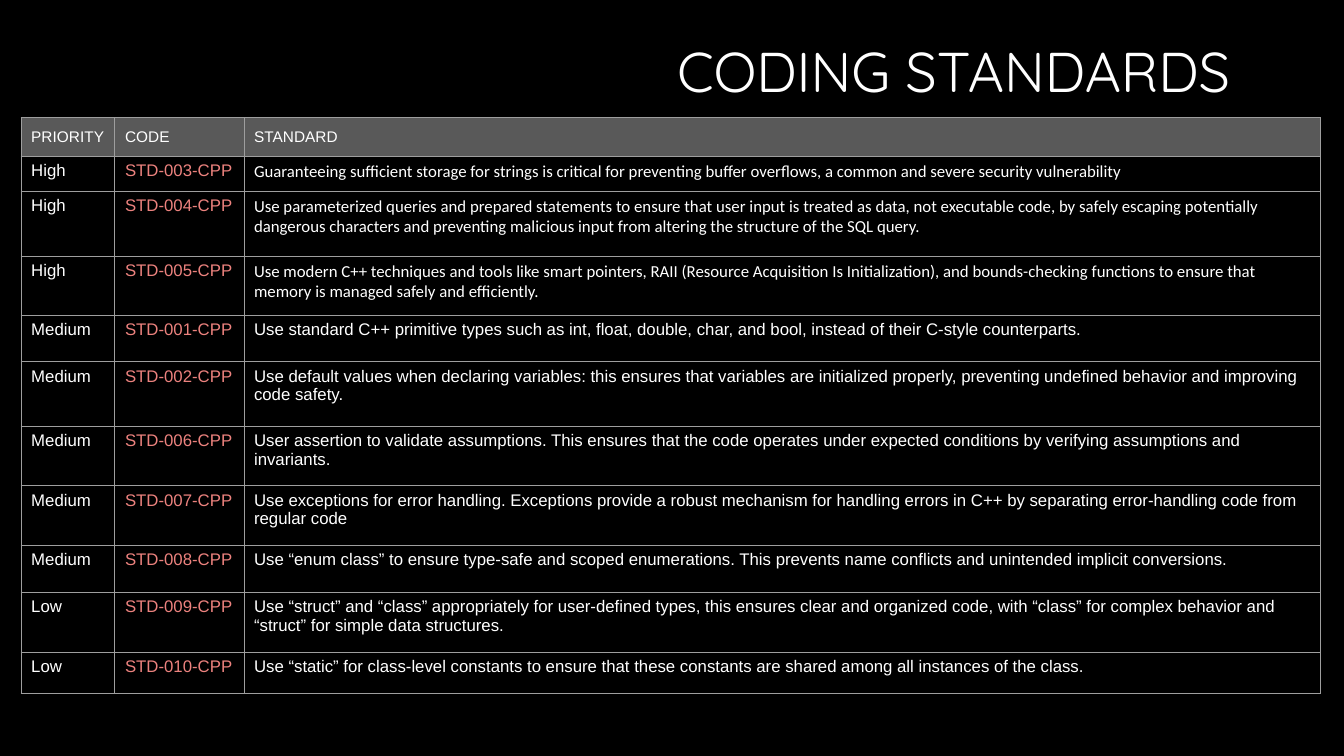
import pptx
import pptx.dml.color
import pptx.enum.text
import pptx.oxml
import pptx.oxml.ns
import pptx.util
from pptx.util import Inches

COLOURS = {
    "background": "000000",
    "header": "595959",
    "text": "FFFFFF",
    "code": "EC827E",
    "border": "9E9E9E",
}
HEADINGS = ["PRIORITY", "CODE", "STANDARD"]
COLUMN_WIDTHS = [0.93, 1.28, 10.68]
HEADER_HEIGHT = 0.38
# Priority, code number, row height, font of the standard, standard
STANDARDS = [
    ("High", 3, 0.35, "Calibri",
     "Guaranteeing sufficient storage for strings is critical for preventing buffer "
     "overflows, a common and severe security vulnerability"),
    ("High", 4, 0.64, "Calibri",
     "Use parameterized queries and prepared statements to ensure that user input is "
     "treated as data, not executable code, by safely escaping potentially dangerous "
     "characters and preventing malicious input from altering the structure of the SQL query."),
    ("High", 5, 0.59, "Calibri",
     "Use modern C++ techniques and tools like smart pointers, RAII (Resource Acquisition "
     "Is Initialization), and bounds-checking functions to ensure that memory is managed "
     "safely and efficiently."),
    ("Medium", 1, 0.46, "Arial",
     "Use standard C++ primitive types such as int, float, double, char, and bool, "
     "instead of their C-style counterparts."),
    ("Medium", 2, 0.64, "Arial",
     "Use default values when declaring variables: this ensures that variables are "
     "initialized properly, preventing undefined behavior and improving code safety."),
    ("Medium", 6, 0.59, "Arial",
     "User assertion to validate assumptions. This ensures that the code operates under "
     "expected conditions by verifying assumptions and invariants."),
    ("Medium", 7, 0.59, "Arial",
     "Use exceptions for error handling. Exceptions provide a robust mechanism for handling "
     "errors in C++ by separating error-handling code from regular code"),
    ("Medium", 8, 0.47, "Arial",
     "Use “enum class” to ensure type-safe and scoped enumerations. This prevents name "
     "conflicts and unintended implicit conversions."),
    ("Low", 9, 0.59, "Arial",
     "Use “struct” and “class” appropriately for user-defined types, this ensures clear and "
     "organized code, with “class” for complex behavior and “struct” for simple data structures."),
    ("Low", 10, 0.41, "Arial",
     "Use “static” for class-level constants to ensure that these constants are shared "
     "among all instances of the class."),
]


def colour(name):
    return pptx.dml.color.RGBColor.from_string(COLOURS[name])


def add_span(para, text, size, font="Arial", colour_name="text"):
    span = para.add_run()
    span.text = text
    span.font.size = pptx.util.Pt(size)
    span.font.name = font
    span.font.color.rgb = colour(colour_name)


def add_title(page, text):
    box = page.shapes.add_textbox(Inches(2.88), Inches(0.39), Inches(9.42), Inches(0.7))
    frame = box.text_frame
    frame.word_wrap = True
    frame.vertical_anchor = pptx.enum.text.MSO_ANCHOR.MIDDLE
    para = frame.paragraphs[0]
    para.alignment = pptx.enum.text.PP_ALIGN.RIGHT
    para.line_spacing = 0.9
    add_span(para, text, 40, "Quicksand")


def add_borders(cell):
    """Draw a thin line on all four sides, ahead of the fill as the schema asks."""
    properties = cell._tc.get_or_add_tcPr()
    for index, side in enumerate(["lnL", "lnR", "lnT", "lnB"]):
        line = pptx.oxml.parse_xml(
            f'<a:{side} {pptx.oxml.ns.nsdecls("a")} w="{pptx.util.Pt(0.75)}">'
            f'<a:solidFill><a:srgbClr val="{COLOURS["border"]}"/></a:solidFill></a:{side}>')
        properties.insert(index, line)


def fill_cell(cell, text, size, fill, font="Arial", colour_name="text"):
    cell.margin_right = Inches(0.08)
    cell.fill.solid()
    cell.fill.fore_color.rgb = colour(fill)
    add_borders(cell)
    add_span(cell.text_frame.paragraphs[0], text, size, font, colour_name)


def add_standards_table(page):
    heights = [HEADER_HEIGHT] + [height for _, _, height, _, _ in STANDARDS]
    table = page.shapes.add_table(
        len(heights), len(COLUMN_WIDTHS), Inches(0.21), Inches(1.17),
        Inches(sum(COLUMN_WIDTHS)), Inches(sum(heights))).table
    table.horz_banding = False
    for column, width in zip(table.columns, COLUMN_WIDTHS):
        column.width = Inches(width)
    for row, height in zip(table.rows, heights):
        row.height = Inches(height)

    for index, heading in enumerate(HEADINGS):
        cell = table.cell(0, index)
        cell.vertical_anchor = pptx.enum.text.MSO_ANCHOR.MIDDLE
        fill_cell(cell, heading, 11, "header")
    for index, (priority, number, _, font, standard) in enumerate(STANDARDS, start=1):
        fill_cell(table.cell(index, 0), priority, 12, "background")
        fill_cell(table.cell(index, 1), f"STD-{number:03}-CPP", 12, "background",
                  colour_name="code")
        fill_cell(table.cell(index, 2), standard, 12, "background", font)


def main():
    deck = pptx.Presentation()
    deck.slide_width, deck.slide_height = Inches(13.33), Inches(7.5)
    page = deck.slides.add_slide(deck.slide_layouts[6])
    page.background.fill.solid()
    page.background.fill.fore_color.rgb = colour("background")
    add_title(page, "CODING STANDARDS")
    add_standards_table(page)
    deck.save("out.pptx")


if __name__ == "__main__":
    main()
